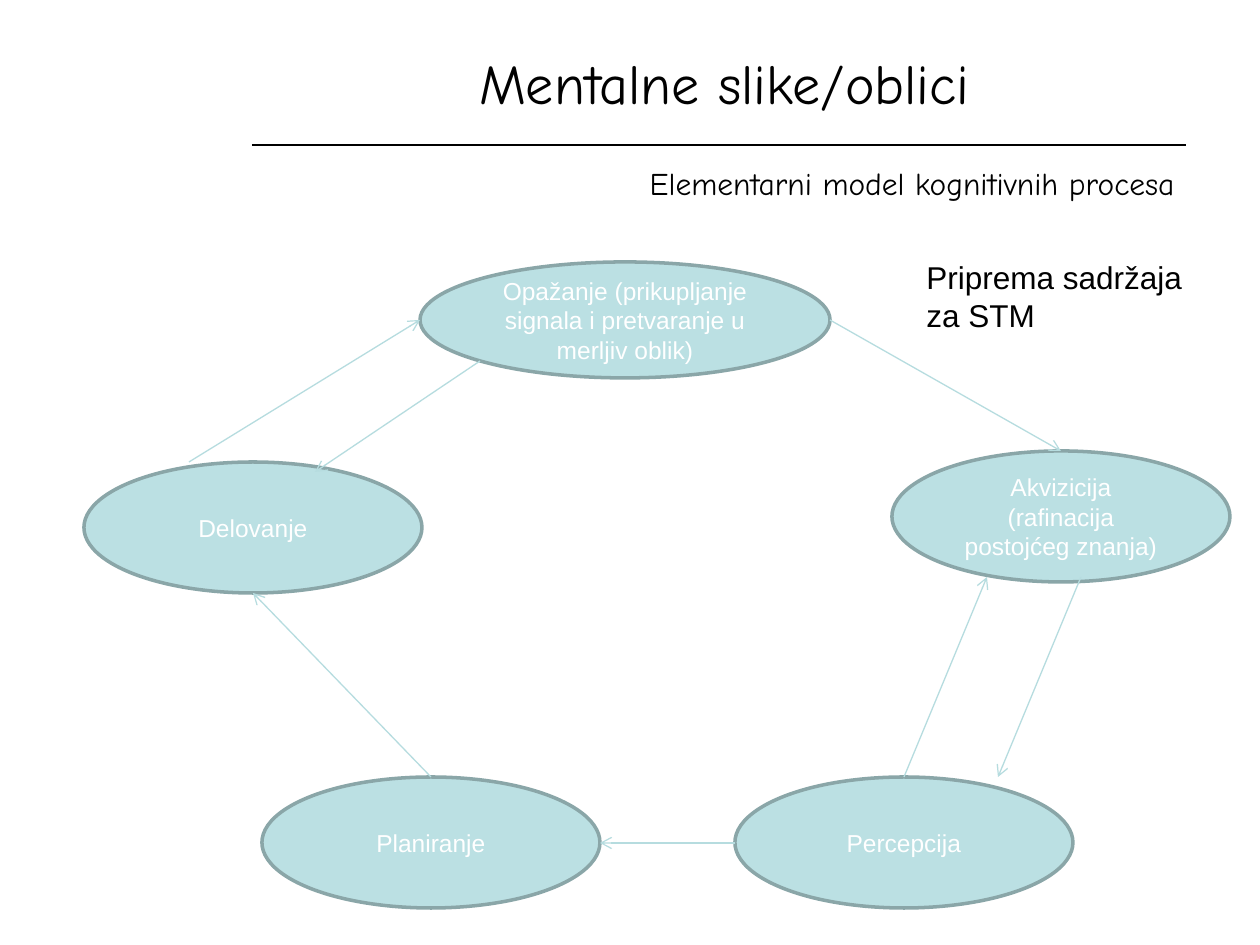
from lxml import etree
from pptx import Presentation
from pptx.dml.color import RGBColor
from pptx.enum.shapes import MSO_CONNECTOR, MSO_SHAPE
from pptx.enum.text import MSO_ANCHOR, PP_ALIGN
from pptx.oxml.ns import qn
from pptx.util import Pt

PX = 914400 // 126
LEFT, CENTER, RIGHT = PP_ALIGN.LEFT, PP_ALIGN.CENTER, PP_ALIGN.RIGHT
TOP, MIDDLE = MSO_ANCHOR.TOP, MSO_ANCHOR.MIDDLE
STRAIGHT, OVAL = MSO_CONNECTOR.STRAIGHT, MSO_SHAPE.OVAL
COLORS = {
    name: RGBColor.from_string(value)
    for name, value in {
        "text": "000000",
        "oval": "BBE0E3",
        "outline": "8AA6A8",
        "arrow": "B6DCDF",
        "label": "FFFFFF",
    }.items()
}

prs = Presentation()
prs.slide_width, prs.slide_height = 1260 * PX, 945 * PX
s = prs.slides.add_slide(prs.slide_layouts[6])


def write(sp, lines, size, font, color, align, anchor):
    tf = sp.text_frame
    tf.text = "\n".join(lines)
    tf.vertical_anchor = anchor
    for p in tf.paragraphs:
        p.alignment = align
        p.font.size, p.font.name = Pt(size), font
        p.font.color.rgb = COLORS[color]


def add_line(points, color):
    line = s.shapes.add_connector(STRAIGHT, *(v * PX for v in points))
    line.line.color.rgb = COLORS[color]
    line.line.width = Pt(0.75)
    etree.SubElement(line._element.spPr, qn("a:effectLst"))
    return line


add_line((252, 145, 1186, 145), "text")

# Headings and side note
texts = [
    ((252, 35, 945, 95), ["Mentalne slike/oblici"], 32, "Comic Neue", CENTER, MIDDLE, True),
    ((535, 158, 652, 50), ["Elementarni model kognitivnih procesa"], 18, "Comic Neue", RIGHT, TOP, True),
    ((914, 252, 292, 89), ["Priprema sadržaja", "za STM"], 18, "Arial", LEFT, TOP, False),
]
for box, lines, size, font, align, anchor, wrap in texts:
    sp = s.shapes.add_textbox(*(v * PX for v in box))
    sp.text_frame.word_wrap = wrap
    write(sp, lines, size, font, "text", align, anchor)

# Cognitive processes
OVAL_W, OVAL_H = 338, 131
processes = [
    ("Opažanje (prikupljanje signala i pretvaranje u merljiv oblik)", 420, 262, 410, 116),
    ("Akvizicija (rafinacija postojćeg znanja)", 892, 451, OVAL_W, OVAL_H),
    ("Percepcija", 735, 777, OVAL_W, OVAL_H),
    ("Planiranje", 262, 777, OVAL_W, OVAL_H),
    ("Delovanje", 84, 462, OVAL_W, OVAL_H),
]
for label, *box in processes:
    sp = s.shapes.add_shape(OVAL, *(v * PX for v in box))
    sp.shadow.inherit = False
    sp.fill.solid()
    sp.fill.fore_color.rgb = COLORS["oval"]
    sp.line.color.rgb = COLORS["outline"]
    sp.line.width = Pt(2)
    write(sp, [label], 14, "Arial", "label", CENTER, MIDDLE)

# Flow between processes
arrows = [
    (830, 320, 1061, 451),
    (1081, 577, 998, 777),
    (904, 777, 987, 577),
    (735, 843, 600, 843),
    (431, 777, 253, 593),
    (189, 462, 420, 320),
    (480, 361, 315, 472),
]
for points in arrows:
    arrow = add_line(points, "arrow")
    etree.SubElement(arrow.line._get_or_add_ln(), qn("a:tailEnd"), type="arrow")

prs.save("out.pptx")
